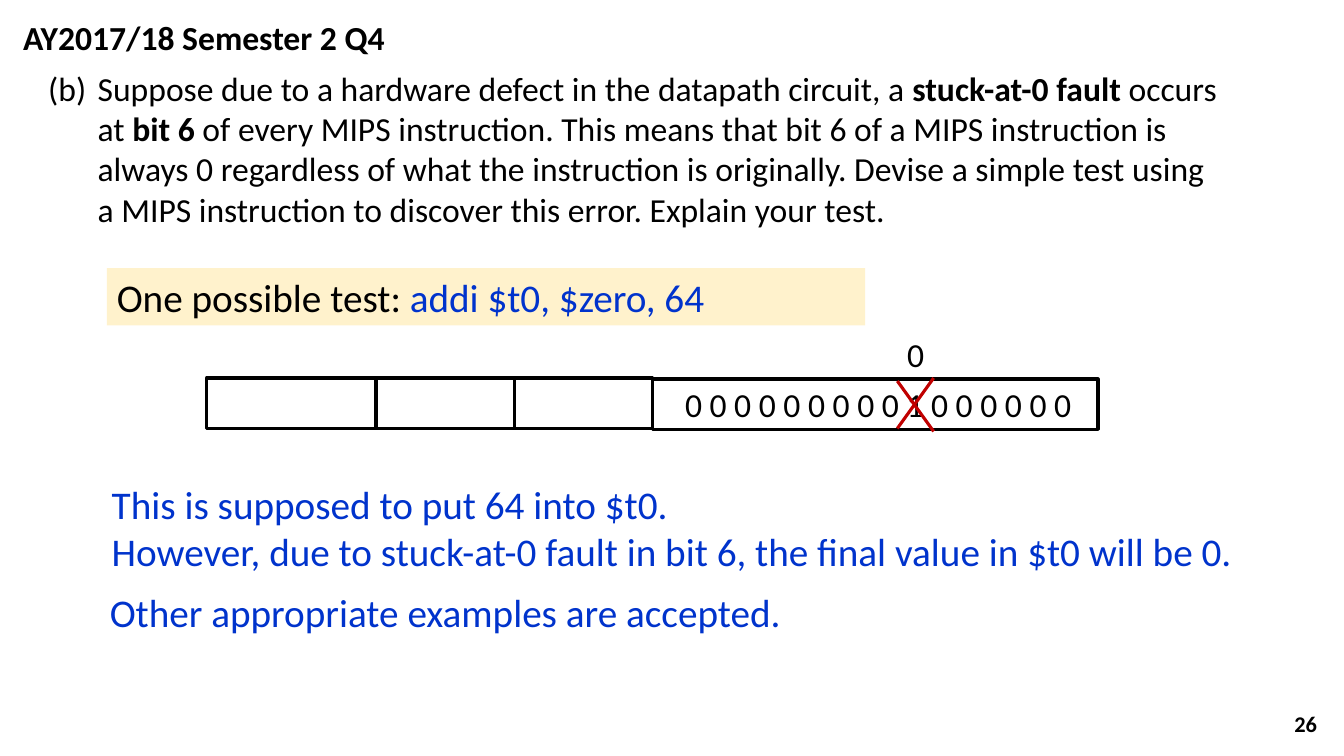
from lxml import etree
from pptx import Presentation
from pptx.dml.color import RGBColor
from pptx.enum.shapes import MSO_CONNECTOR, MSO_SHAPE
from pptx.enum.text import MSO_ANCHOR, PP_ALIGN
from pptx.oxml.ns import qn
from pptx.util import Inches, Pt

RECTANGLE = MSO_SHAPE.RECTANGLE
STRAIGHT = MSO_CONNECTOR.STRAIGHT
LEFT, CENTER, RIGHT = PP_ALIGN.LEFT, PP_ALIGN.CENTER, PP_ALIGN.RIGHT
TOP, MIDDLE = MSO_ANCHOR.TOP, MSO_ANCHOR.MIDDLE
FONT = "Calibri"
BLACK, BLUE, RED, CREAM = "000000", "0033CC", "C00000", "FFF2CC"


def color(hex_string):
    """Turn a hex string into a colour."""
    return RGBColor.from_string(hex_string)


def write(shape, paragraphs, size, align=LEFT, anchor=TOP):
    """Fill a shape with paragraphs of (text, colour, bold) runs."""
    frame = shape.text_frame
    frame.word_wrap = True
    frame.vertical_anchor = anchor
    for index, runs in enumerate(paragraphs):
        paragraph = frame.add_paragraph() if index else frame.paragraphs[0]
        paragraph.alignment = align
        for text, ink, bold in runs:
            run = paragraph.add_run()
            run.text = text
            run.font.color.rgb = color(ink)
            for key, value in {"name": FONT, "size": Pt(size), "bold": bold}.items():
                setattr(run.font, key, value)
    return frame


def add_text(slide, box, paragraphs, size, **layout):
    """Place a text box in the given box."""
    textbox = slide.shapes.add_textbox(*map(Inches, box))
    return write(textbox, paragraphs, size, **layout)


def add_rectangle(slide, box, fill=None, line=None):
    """Place a rectangle with an optional fill and outline."""
    rectangle = slide.shapes.add_shape(RECTANGLE, *map(Inches, box))
    rectangle.shadow.inherit = False
    if fill:
        rectangle.fill.solid()
        rectangle.fill.fore_color.rgb = color(fill)
    else:
        rectangle.fill.background()
    if line:
        rectangle.line.color.rgb = color(line)
        rectangle.line.width = Pt(2.25)
    else:
        rectangle.line.fill.background()
    return rectangle


def add_question(slide, box):
    """Place the lettered question with a hanging indent."""
    runs = [
        ("(b)\tSuppose due to a hardware defect in the datapath circuit, a ", BLACK, False),
        ("stuck-at-0 fault ", BLACK, True),
        ("occurs at ", BLACK, False),
        ("bit 6", BLACK, True),
        (" of every MIPS instruction. This means that bit 6 of a MIPS instruction is "
         "always 0 regardless of what the instruction is originally. Devise a simple "
         "test using a MIPS instruction to discover this error. Explain your test.",
         BLACK, False),
    ]
    paragraph = add_text(slide, box, [runs], 24).paragraphs[0]
    indent = Inches(0.49)
    properties = paragraph._p.get_or_add_pPr()
    properties.set("marL", str(indent))
    properties.set("indent", str(-indent))
    tabs = etree.SubElement(properties, qn("a:tabLst"))
    etree.SubElement(tabs, qn("a:tab"), pos=str(indent), algn="l")
    paragraph.space_after = Pt(6)


def add_instruction(slide, box):
    """Draw the instruction fields, with the bits of the immediate in the last."""
    left, top, width, height = box
    for field_width in (1.68, 1.37, 1.37):
        add_rectangle(slide, (left, top, field_width, height), line=BLACK)
        left += field_width
    immediate_width = box[0] + width - left
    immediate = add_rectangle(
        slide, (left, top + 0.01, immediate_width, height), line=BLACK)
    bits = " ".join(f"{64:016b}")
    frame = write(immediate, [[(bits, BLACK, False)]], 24, align=CENTER)
    frame.margin_left = Inches(0.16)


def add_stuck_bit(slide, box):
    """Cross out the faulty bit and show the stuck value above it."""
    left, top, width, height = box
    right, cross_top = left + 0.36, top + 0.49
    for start, end in ((0, 0.5), (0.53, 0.03)):
        stroke = slide.shapes.add_connector(
            STRAIGHT, *map(Inches, (right, cross_top + start, left, cross_top + end)))
        stroke.line.color.rgb = color(RED)
        stroke.line.width = Pt(2.25)
        etree.SubElement(stroke._element.spPr, qn("a:effectLst"))
    add_text(slide, (left, top, width, height), [[("0", BLACK, False)]], 24)


def add_answer(slide, box):
    """Place the proposed test on its cream band."""
    band = add_rectangle(slide, box, fill=CREAM)
    write(band, [[("One possible test: ", BLACK, False),
                  ("addi $t0, $zero, 64", BLUE, False)]], 28)


def add_explanation(slide, box):
    """Place the explanation and the closing remark below it."""
    left, top, width, height = box
    lines = [
        "This is supposed to put 64 into $t0.",
        "However, due to stuck-at-0 fault in bit 6, the final value in $t0 will be 0.",
    ]
    add_text(slide, (left, top, width, 1.04),
             [[(line, BLUE, False)] for line in lines], 28)
    add_text(slide, (left - 0.02, top + height - 0.57, width, 0.57),
             [[("Other appropriate examples are accepted.", BLUE, False)]], 28)


def build_slide(deck):
    """Build the exam question slide."""
    slide = deck.slides.add_slide(deck.slide_layouts[6])
    add_text(slide, (10.16, 6.98, 3, 0.4), [[("26", BLACK, True)]], 16,
             align=RIGHT, anchor=MIDDLE)
    add_question(slide, (0.38, 0.62, 11.82, 1.72))
    add_text(slide, (0.13, 0.12, 4.08, 0.5),
             [[("AY2017/18 Semester 2 Q4", BLACK, True)]], 24)
    add_answer(slide, (1.06, 2.66, 7.52, 0.57))
    add_instruction(slide, (2.05, 3.75, 8.84, 0.5))
    add_stuck_bit(slide, (8.9, 3.26, 0.4, 0.5))
    add_explanation(slide, (1.01, 4.72, 11.52, 1.64))


def main():
    """Create and save the deck."""
    deck = Presentation()
    deck.slide_width, deck.slide_height = Inches(13.33), Inches(7.5)
    build_slide(deck)
    deck.save("out.pptx")


if __name__ == "__main__":
    main()
